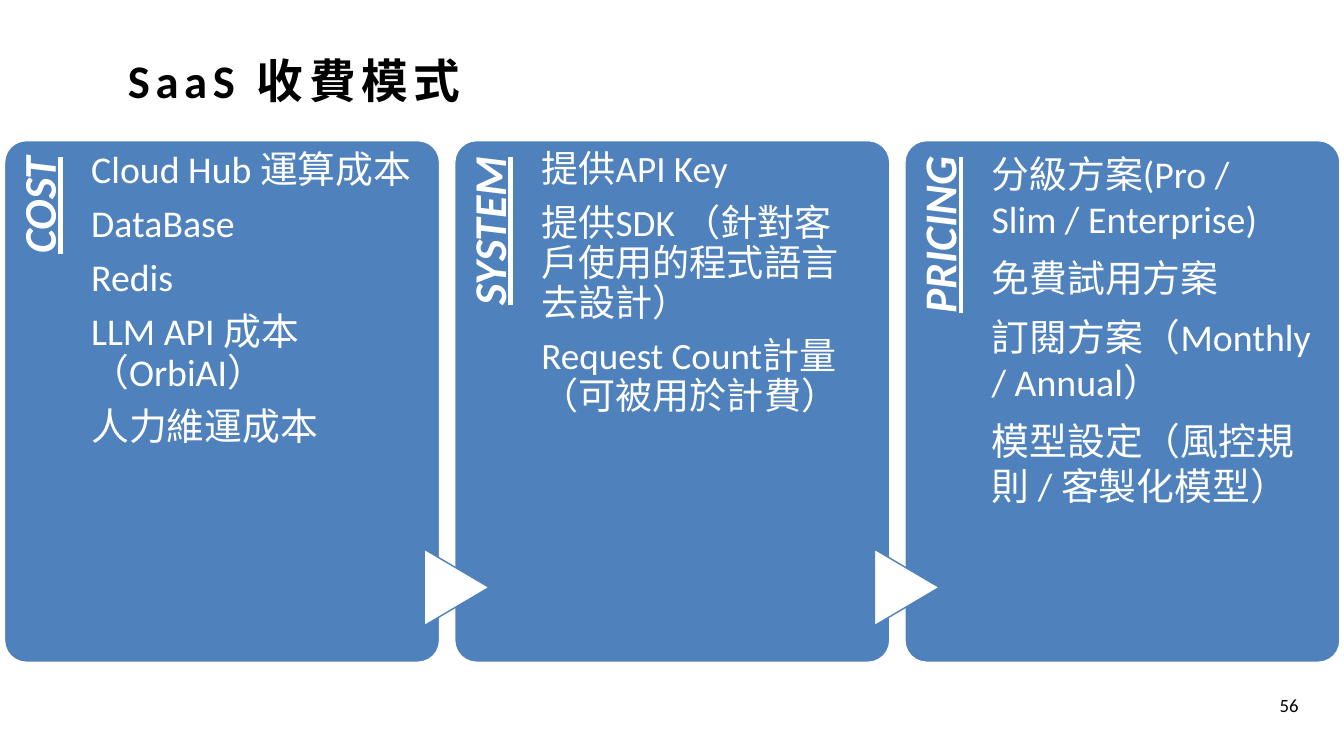
"""Build the SaaS pricing slide: three panels linked by arrowheads."""
from pptx import Presentation
from pptx.dml.color import RGBColor
from pptx.enum.shapes import MSO_SHAPE
from pptx.enum.text import MSO_ANCHOR, PP_ALIGN
from pptx.util import Pt

PX = 9144
BLUE = RGBColor(0x4F, 0x81, 0xBD)
WHITE = RGBColor(0xFF, 0xFF, 0xFF)
BLACK = RGBColor(0x00, 0x00, 0x00)
PANEL_LEFT, PANEL_TOP, PANEL_STEP = 9, 279, 893
PANEL_WIDTH, PANEL_HEIGHT = 863, 1035

PANELS = [
    ("COST", 54, 0.9, [
        "Cloud Hub 運算成本", "DataBase", "Redis", "LLM API 成本（OrbiAI）", "人力維運成本"]),
    ("SYSTEM", 53, 0.9, [
        "提供API Key", "提供SDK （針對客戶使用的程式語言去設計）",
        "Request Count計量（可被用於計費）"]),
    ("PRICING", 54, 1.0, [
        "分級方案(Pro / Slim / Enterprise)", "免費試用方案",
        "訂閱方案（Monthly / Annual）", "模型設定（風控規則 / 客製化模型）"]),
]

presentation = Presentation()
presentation.slide_width = 2666 * PX
presentation.slide_height = 1500 * PX
slide = presentation.slides.add_slide(presentation.slide_layouts[6])


def add_text(box, lines, size, color, insets, align=PP_ALIGN.LEFT, spacing=1.0,
             anchor=MSO_ANCHOR.TOP, bold=False):
    shape = slide.shapes.add_textbox(*(value * PX for value in box))
    frame = shape.text_frame
    frame.word_wrap = True
    frame.vertical_anchor = anchor
    frame.margin_left, frame.margin_top, frame.margin_right, frame.margin_bottom = (
        value * PX for value in insets)
    frame.text = "\n".join(lines)
    for paragraph in frame.paragraphs:
        paragraph.alignment = align
        paragraph.line_spacing = spacing
        paragraph.space_after = Pt(round(size * 0.35))
        for run in paragraph.runs:
            run.font.name = "Calibri"
            run.font.size = Pt(size)
            run.font.bold = bold
            run.font.color.rgb = color
    return shape


def add_block(kind, box, fill, line):
    shape = slide.shapes.add_shape(kind, *(value * PX for value in box))
    shape.shadow.inherit = False
    shape.fill.solid()
    shape.fill.fore_color.rgb = fill
    shape.line.color.rgb = line
    shape.line.width = Pt(2)
    return shape


add_text((1989, 1359, 600, 80), ["56"], 26.7, BLACK, (13, 7, 13, 7),
         PP_ALIGN.RIGHT, anchor=MSO_ANCHOR.MIDDLE)
title = add_text((244, 76, 2255, 163), ["SaaS 收費模式"], 66.7, BLACK, (10, 5, 10, 5),
                 anchor=MSO_ANCHOR.MIDDLE, bold=True)
for run in title.text_frame.paragraphs[0].runs:
    run.font._element.set("spc", "800")

for index, (heading, size, spacing, items) in enumerate(PANELS):
    left = PANEL_LEFT + index * PANEL_STEP
    panel = add_block(MSO_SHAPE.ROUNDED_RECTANGLE,
                      (left, PANEL_TOP, PANEL_WIDTH, PANEL_HEIGHT), BLUE, WHITE)
    panel.adjustments[0] = 0.05
    label = add_text((left - 338, 617, 849, 173), [heading], 65, WHITE, (0, 24, 32, 0),
                     PP_ALIGN.RIGHT, 0.9, bold=True)
    label.rotation = 270
    for run in label.text_frame.paragraphs[0].runs:
        run.font.italic = True
        run.font.underline = True
    if index:
        arrow = add_block(MSO_SHAPE.FLOWCHART_EXTRACT,
                          (left - 72, 1101, 152, 129), WHITE, BLUE)
        arrow.rotation = 90
    add_text((left + 172, PANEL_TOP, 643, PANEL_HEIGHT), items, size, WHITE,
             (0, 20, 0, 0), spacing=spacing)

presentation.save("out.pptx")
